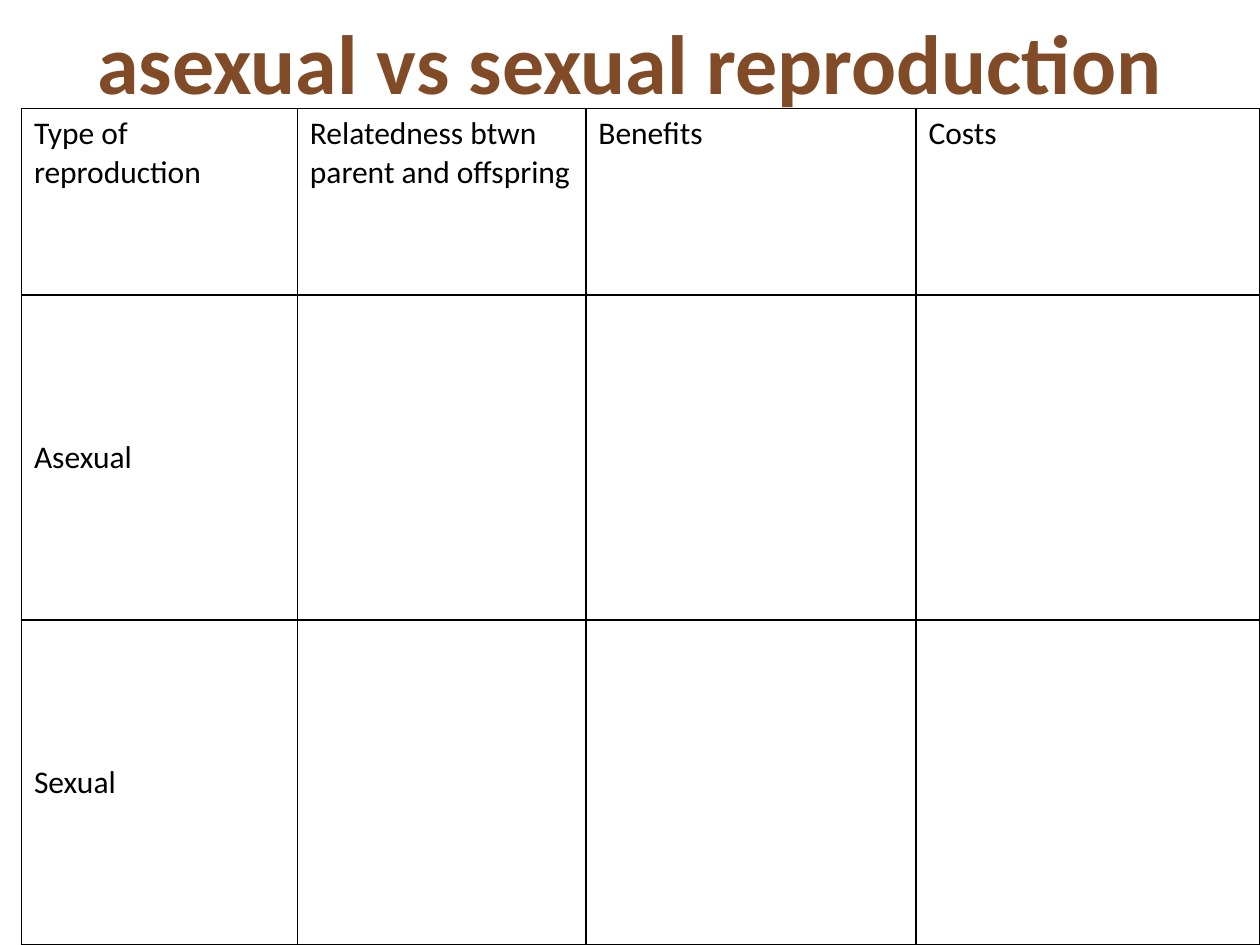
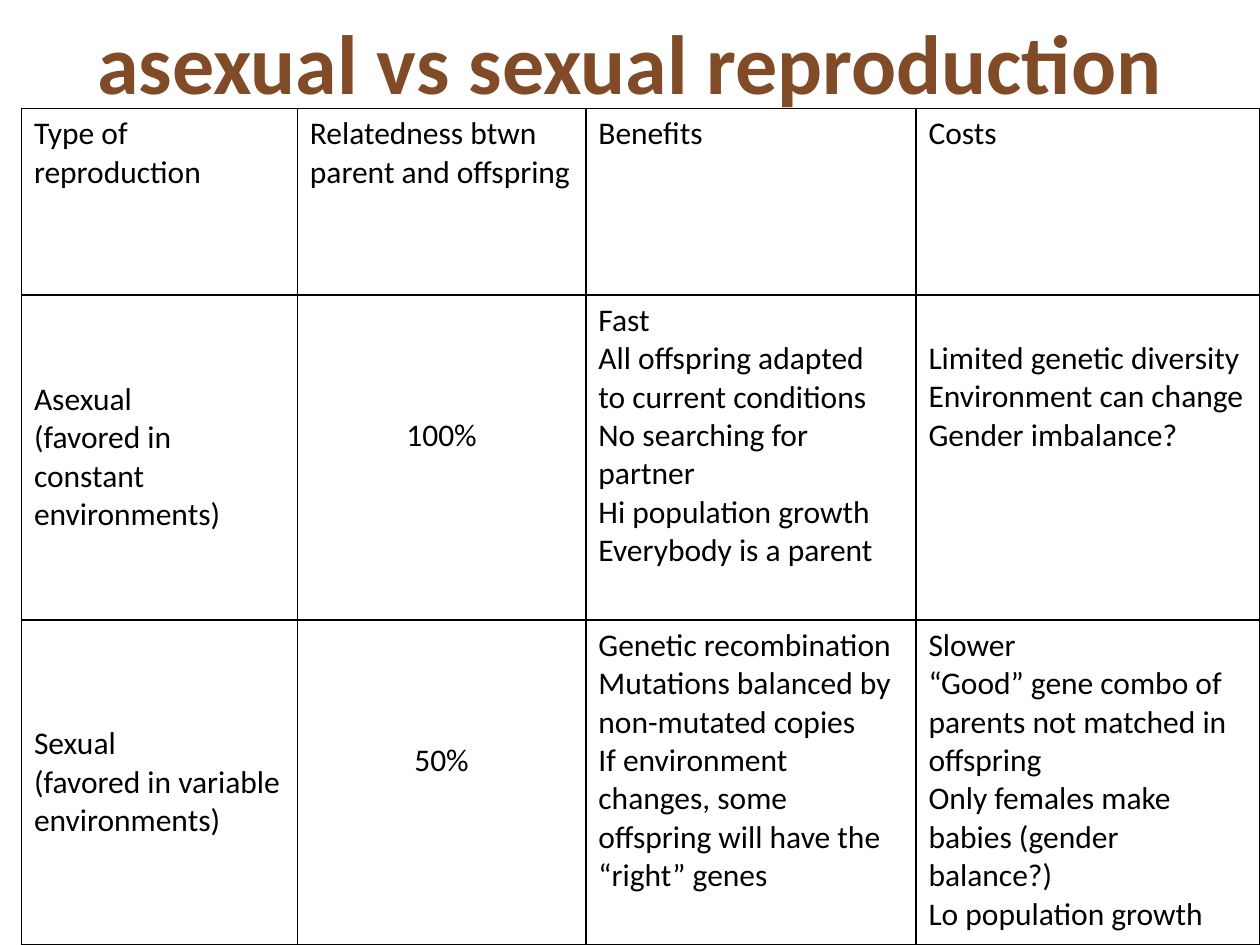
from dataclasses import dataclass

from lxml import etree
from pptx import Presentation
from pptx.dml.color import RGBColor
from pptx.enum.text import MSO_ANCHOR as Anchor, PP_ALIGN as Align
from pptx.oxml.ns import qn
from pptx.util import Inches, Pt


@dataclass(frozen=True)
class Theme:
    font: str = "Calibri"
    title_color: str = "804B26"
    ink: str = "000000"
    title_size: int = 48
    body_size: int = 18
    border: float = 1
    cell_margin: float = 0.05
    line_height: float = 0.305


@dataclass(frozen=True)
class Entry:
    text: str = ""
    align: Align = Align.LEFT
    anchor: Anchor = Anchor.TOP
    lines_down: int = 0


TITLE = "asexual vs sexual reproduction"
HEADINGS = ["Type of reproduction", "Relatedness btwn parent and offspring",
            "Benefits", "Costs"]
COL_WIDTHS = [2.19, 2.29, 2.62, 2.73]
ROW_HEIGHTS = [1.48, 2.58, 2.58]


class Deck:
    def __init__(self, theme):
        self.theme = theme
        self.prs = Presentation()
        self.prs.slide_width = Inches(10)
        self.prs.slide_height = Inches(7.5)
        self.slide = None

    def add_slide(self):
        self.slide = self.prs.slides.add_slide(self.prs.slide_layouts[6])

    def set_text(self, tf, text, size, color, align, bold=False):
        tf.word_wrap = True
        tf.text = text
        for p in tf.paragraphs:
            p.alignment = align
            for r in p.runs:
                r.font.name = self.theme.font
                r.font.size = Pt(size)
                r.font.bold = bold
                r.font.color.rgb = RGBColor.from_string(color)

    def title(self, text):
        box = self.slide.shapes.add_textbox(
            Inches(0), Inches(0.01), Inches(10), Inches(0.92))
        tf = box.text_frame
        tf.vertical_anchor = Anchor.BOTTOM
        self.set_text(tf, text, self.theme.title_size, self.theme.title_color,
                      Align.CENTER, bold=True)

    def outline(self, cell):
        tc_pr = cell._tc.get_or_add_tcPr()
        for side in ("a:lnL", "a:lnR", "a:lnT", "a:lnB"):
            ln = etree.SubElement(tc_pr, qn(side), w=str(Pt(self.theme.border)))
            fill = etree.SubElement(ln, qn("a:solidFill"))
            etree.SubElement(fill, qn("a:srgbClr"), val=self.theme.ink)

    def cell(self, cell, entry):
        theme = self.theme
        self.outline(cell)
        cell.fill.background()
        cell.vertical_anchor = entry.anchor
        cell.margin_top = Inches(
            theme.cell_margin + entry.lines_down * theme.line_height)
        self.set_text(cell.text_frame, entry.text, theme.body_size, theme.ink,
                      entry.align)

    def table(self, rows):
        frame = self.slide.shapes.add_table(
            len(ROW_HEIGHTS), len(COL_WIDTHS), Inches(0.17), Inches(0.86),
            Inches(sum(COL_WIDTHS)), Inches(sum(ROW_HEIGHTS)))
        table = frame.table
        table.first_row = False
        table.horz_banding = False
        for column, width in zip(table.columns, COL_WIDTHS):
            column.width = Inches(width)
        for row, height, entries in zip(table.rows, ROW_HEIGHTS, rows):
            row.height = Inches(height)
            for cell, entry in zip(row.cells, entries):
                self.cell(cell, entry)

    def comparison(self, rows):
        self.add_slide()
        self.title(TITLE)
        self.table([[Entry(heading) for heading in HEADINGS], *rows])


def kind(text):
    return Entry(text, anchor=Anchor.MIDDLE)


def relatedness(text):
    return Entry(text, align=Align.CENTER, lines_down=3)


def lines(*items, lines_down=0):
    return Entry("\n".join(items), lines_down=lines_down)


def main():
    deck = Deck(Theme())
    deck.comparison([[kind(name)] + [Entry()] * 3
                     for name in ("Asexual", "Sexual")])
    deck.comparison([
        [
            kind("Asexual\n(favored in constant environments)"),
            relatedness("100%"),
            lines("Fast", "All offspring adapted", "to current conditions",
                  "No searching for partner", "Hi population growth",
                  "Everybody is a parent"),
            lines("Limited genetic diversity", "Environment can change",
                  "Gender imbalance?", lines_down=1),
        ],
        [
            kind("Sexual\n(favored in variable environments)"),
            relatedness("50%"),
            lines("Genetic recombination",
                  "Mutations balanced by non-mutated copies",
                  "If environment changes, some offspring will have the "
                  "“right” genes"),
            lines("Slower",
                  "“Good” gene combo of parents not matched in offspring",
                  "Only females make babies (gender balance?)",
                  "Lo population growth"),
        ],
    ])
    deck.prs.save("out.pptx")


if __name__ == "__main__":
    main()
